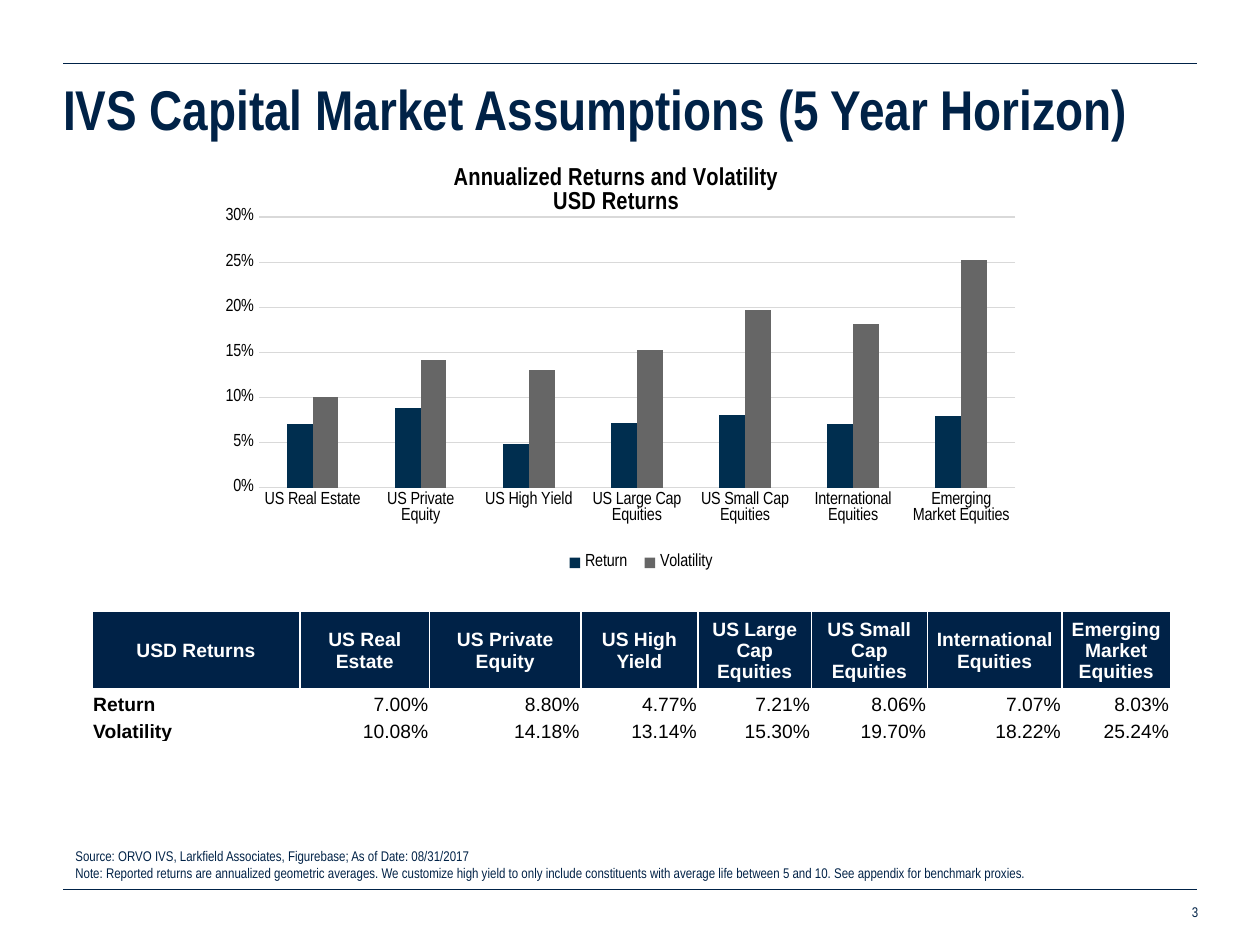
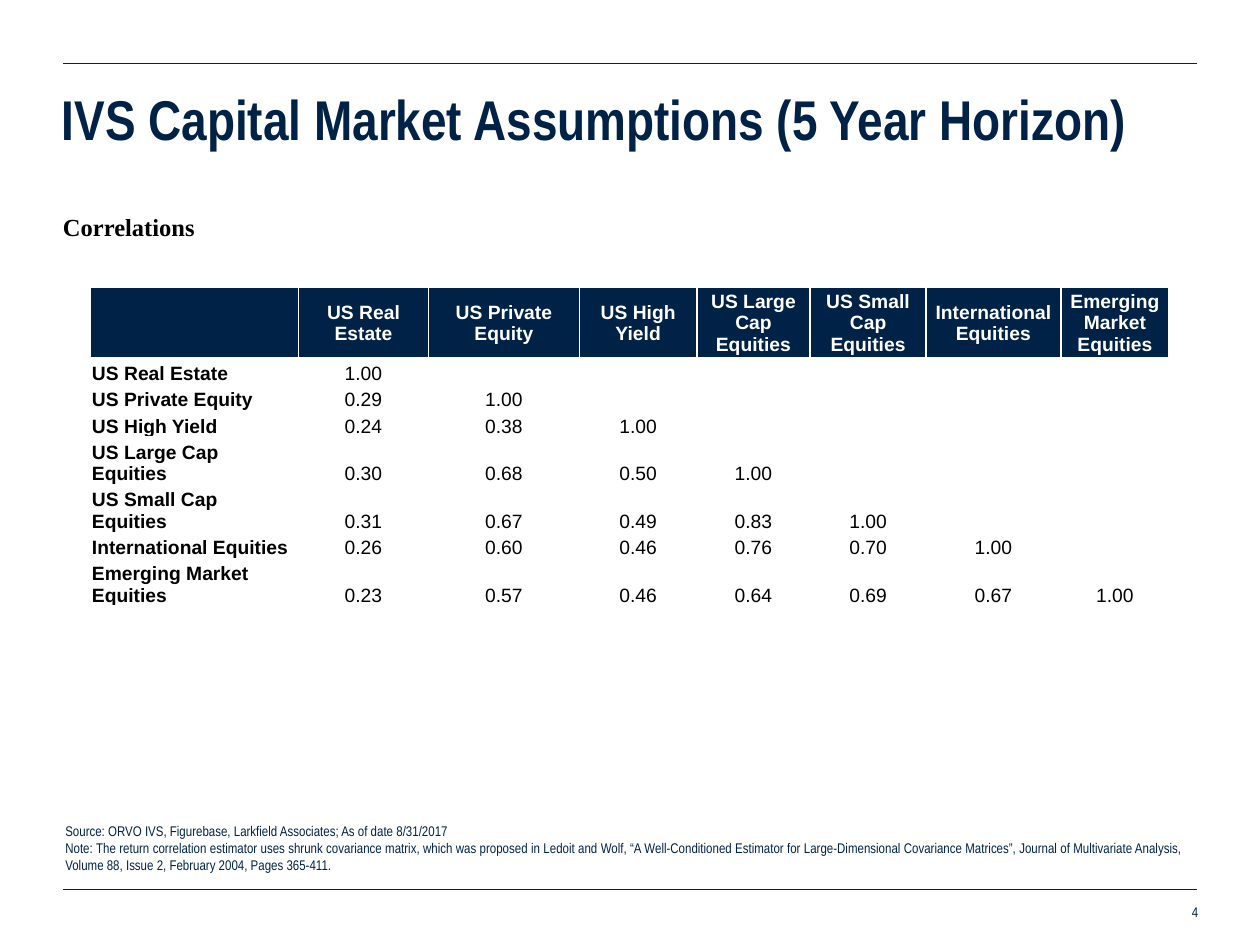
from dataclasses import dataclass
from lxml.etree import SubElement
from pptx import Presentation
from pptx.chart.data import CategoryChartData
from pptx.dml.color import RGBColor
from pptx.enum.chart import XL_CHART_TYPE, XL_LEGEND_POSITION, XL_TICK_MARK
from pptx.enum.shapes import MSO_CONNECTOR
from pptx.enum.text import MSO_ANCHOR, MSO_AUTO_SIZE, PP_ALIGN
from pptx.oxml.ns import qn
from pptx.util import Emu, Pt


@dataclass(frozen=True)
class Theme:
    """Colours, fonts and type sizes of the deck."""
    navy: str = "002247"
    black: str = "000000"
    white: str = "FFFFFF"
    grid: str = "D9D9D9"
    bars: tuple = ("002E4F", "666666")
    narrow: str = "Arial Narrow"
    sans: str = "Arial"
    serif: str = "Times New Roman"
    title: int = 32
    head: int = 14
    cell: int = 11
    label: int = 10
    small: int = 8


@dataclass(frozen=True)
class Box:
    """A place on the slide in px."""
    left: int
    top: int
    width: int
    height: int

    def emu(self) -> tuple:
        """Give the four lengths in EMU."""
        return tuple(map(px, (self.left, self.top, self.width, self.height)))


@dataclass(frozen=True)
class Style:
    """The look of a run."""
    face: str
    size: int
    tint: str
    bold: bool = False


@dataclass(frozen=True)
class Grid:
    """A table with its place, row heights and number alignment."""
    box: Box
    head: int
    row: int
    corner: str
    rows: dict
    align: PP_ALIGN


@dataclass(frozen=True)
class Page:
    """What differs from slide to slide."""
    number: str
    title: Box
    notes: Box
    lines: tuple
    grid: Grid


LOOK = Theme()
SCALE = 9144
TITLE = "IVS Capital Market Assumptions (5 Year Horizon)"
ASSETS = ("US Real Estate", "US Private Equity", "US High Yield", "US Large Cap Equities",
          "US Small Cap Equities", "International Equities", "Emerging Market Equities")
COLS = (165, 103, 120, 93, 90, 92, 107, 86)
RETURNS = {
    "Return": (7.00, 8.80, 4.77, 7.21, 8.06, 7.07, 8.03),
    "Volatility": (10.08, 14.18, 13.14, 15.30, 19.70, 18.22, 25.24),
}
LINKS = (
    (1.00,),
    (0.29, 1.00),
    (0.24, 0.38, 1.00),
    (0.30, 0.68, 0.50, 1.00),
    (0.31, 0.67, 0.49, 0.83, 1.00),
    (0.26, 0.60, 0.46, 0.76, 0.70, 1.00),
    (0.23, 0.57, 0.46, 0.64, 0.69, 0.67, 1.00),
)
PAGES = (
    Page("3", Box(50, 44, 901, 83), Box(50, 668, 884, 55), (
        "Source: ORVO IVS, Larkfield Associates, Figurebase; As of Date: 08/31/2017",
        "Note: Reported returns are annualized geometric averages. We customize high yield to only "
        "include constituents with average life between 5 and 10. See appendix for benchmark proxies.",
    ), Grid(Box(73, 485, 856, 104), 62, 21, "USD Returns",
            {name: [f"{val:.2f}%" for val in vals] for name, vals in RETURNS.items()},
            PP_ALIGN.RIGHT)),
    Page("4", Box(49, 52, 901, 83), Box(42, 648, 908, 68), (
        "Source: ORVO IVS, Figurebase, Larkfield Associates; As of date 8/31/2017",
        "Note: The return correlation estimator uses shrunk covariance matrix, which was proposed in "
        "Ledoit and Wolf, “A Well-Conditioned Estimator for Large-Dimensional Covariance Matrices”, "
        "Journal of Multivariate Analysis, Volume 88, Issue 2, February 2004, Pages 365-411.",
    ), Grid(Box(72, 228, 856, 200), 53, 21, "",
            {name: [f"{val:.2f}" for val in vals] for name, vals in zip(ASSETS, LINKS)},
            PP_ALIGN.CENTER)),
)


def px(count: int) -> Emu:
    """Turn px into EMU."""
    return Emu(count * SCALE)


def ink(tint: str) -> RGBColor:
    """Turn a hex string into a colour."""
    return RGBColor.from_string(tint)


def dress(font, style: Style) -> None:
    """Set a font to a style."""
    font.name, font.size, font.bold = style.face, Pt(style.size), style.bold
    font.color.rgb = ink(style.tint)


def write(frame, lines: tuple, style: Style, align: PP_ALIGN) -> None:
    """Write one paragraph for each line."""
    for spot, line in enumerate(lines):
        para = frame.add_paragraph() if spot else frame.paragraphs[0]
        para.alignment = align
        run = para.add_run()
        run.text = line
        dress(run.font, style)


def inset(frame, left: int, right: int) -> None:
    """Set the margins of a text frame."""
    frame.word_wrap = True
    frame.margin_left, frame.margin_right = px(left), px(right)
    frame.margin_top = frame.margin_bottom = px(5)


def label(slide, box: Box, lines: tuple, style: Style, align: PP_ALIGN,
          left: int = 10, right: int = 10):
    """Add a text box and return its frame."""
    frame = slide.shapes.add_textbox(*box.emu()).text_frame
    inset(frame, left, right)
    write(frame, lines, style, align)
    return frame


def rule(slide, top: int) -> None:
    """Draw a thin line across the slide."""
    line = slide.shapes.add_connector(MSO_CONNECTOR.STRAIGHT, px(50), px(top), px(950), px(top))
    line.line.color.rgb = ink(LOOK.navy)
    line.line.width = Pt(0.5)
    SubElement(line.element.spPr, qn("a:effectLst"))


def edge(cell) -> None:
    """Give a cell white borders on all sides."""
    props = cell._tc.get_or_add_tcPr()
    for side in ("lnL", "lnR", "lnT", "lnB"):
        line = SubElement(props, qn(f"a:{side}"), w=str(Pt(1)))
        fill = SubElement(line, qn("a:solidFill"))
        SubElement(fill, qn("a:srgbClr"), val=LOOK.white)


def fill_cell(cell, text: str, head: bool, bold: bool, align: PP_ALIGN) -> None:
    """Format a cell and write its text."""
    cell.margin_left = cell.margin_right = cell.margin_top = px(1)
    cell.margin_bottom = 0
    cell.vertical_anchor = MSO_ANCHOR.MIDDLE if head else MSO_ANCHOR.BOTTOM
    edge(cell)
    if head:
        cell.fill.solid()
        cell.fill.fore_color.rgb = ink(LOOK.navy)
    else:
        cell.fill.background()
    if text:
        tint = LOOK.white if head else LOOK.black
        write(cell.text_frame, (text,), Style(LOOK.sans, LOOK.cell, tint, bold), align)
    else:
        para = cell.text_frame.paragraphs[0]
        SubElement(para._p, qn("a:endParaRPr"), sz=str(LOOK.cell * 100))


def draw_grid(slide, grid: Grid) -> None:
    """Draw a table with a dark head row and bold row names."""
    rows = [(grid.corner, *ASSETS)] + [(name, *vals) for name, vals in grid.rows.items()]
    table = slide.shapes.add_table(len(rows), len(COLS), *grid.box.emu()).table
    table.horz_banding = False
    for col, width in zip(table.columns, COLS):
        col.width = px(width)
    for y, texts in enumerate(rows):
        head = y == 0
        table.rows[y].height = px(grid.head if head else grid.row)
        for x in range(len(COLS)):
            text = texts[x] if x < len(texts) else ""
            align = PP_ALIGN.CENTER if head else grid.align if x else PP_ALIGN.LEFT
            fill_cell(table.cell(y, x), text, head, head or x == 0, align)


def place(part, spot: int, **marks) -> None:
    """Fix a chart part at shares of the chart, as its child number spot."""
    for old in part.findall(qn("c:layout")):
        part.remove(old)
    layout = SubElement(part, qn("c:layout"))
    part.insert(spot, layout)
    manual = SubElement(layout, qn("c:manualLayout"))
    for tag, val in marks.items():
        SubElement(manual, qn(f"c:{tag}"), val=str(val))


def draw_chart(slide, box: Box) -> None:
    """Draw the columns of return and volatility."""
    data = CategoryChartData(number_format="0%")
    data.categories = ASSETS
    for name, vals in RETURNS.items():
        data.add_series(name, [round(val / 100, 3) for val in vals])
    chart = slide.shapes.add_chart(XL_CHART_TYPE.COLUMN_CLUSTERED, *box.emu(), data).chart
    dress(chart.font, Style(LOOK.narrow, LOOK.label, LOOK.black))
    chart.has_title = True
    write(chart.chart_title.text_frame, ("Annualized Returns and Volatility", "USD Returns"),
          Style(LOOK.narrow, LOOK.head, LOOK.black, True), PP_ALIGN.CENTER)
    chart.has_legend = True
    chart.legend.position = XL_LEGEND_POSITION.BOTTOM
    chart.legend.include_in_layout = False
    plot = chart.plots[0]
    plot.gap_width, plot.overlap, plot.vary_by_categories = 219, 0, False
    for series, tint in zip(plot.series, LOOK.bars):
        series.format.fill.solid()
        series.format.fill.fore_color.rgb = ink(tint)
    base, side = chart.category_axis, chart.value_axis
    for axis in (base, side):
        axis.major_tick_mark = axis.minor_tick_mark = XL_TICK_MARK.NONE
    side.minimum_scale, side.maximum_scale, side.major_unit = 0, 0.3, 0.05
    side.tick_labels.number_format = "0%"
    side.tick_labels.number_format_is_linked = False
    side.format.line.fill.background()
    for line in (base.format.line, side.major_gridlines.format.line):
        line.color.rgb = ink(LOOK.grid)
        line.width = Pt(0.75)
    root = chart.element.find(qn("c:chart"))
    mode = {"xMode": "edge", "yMode": "edge"}
    place(root.find(qn("c:plotArea")), 0, layoutTarget="inner", **mode,
          x=0.07, y=0.13, w=0.91, h=0.63)
    place(root.find(qn("c:title")), 1, **mode, x=0.3, y=0)
    place(root.find(qn("c:legend")), 1, **mode, x=0.43, y=0.9, w=0.2, h=0.07)


def add_page(deck, page: Page):
    """Add a slide with its rules, title, notes, number and table."""
    slide = deck.slides.add_slide(deck.slide_layouts[5])
    for top in (50, 706):
        rule(slide, top)
    title = slide.shapes.title
    title.left, title.top, title.width, title.height = page.title.emu()
    frame = title.text_frame
    inset(frame, 0, 10)
    frame.auto_size = MSO_AUTO_SIZE.NONE
    frame.vertical_anchor = MSO_ANCHOR.MIDDLE
    write(frame, (TITLE,), Style(LOOK.narrow, LOOK.title, LOOK.navy, True), PP_ALIGN.LEFT)
    small = Style(LOOK.narrow, LOOK.small, LOOK.navy)
    foot = label(slide, Box(715, 710, 236, 27), (page.number,), small, PP_ALIGN.RIGHT, right=0)
    foot.vertical_anchor = MSO_ANCHOR.MIDDLE
    notes = label(slide, page.notes, page.lines, small, PP_ALIGN.JUSTIFY)
    notes.auto_size = MSO_AUTO_SIZE.SHAPE_TO_FIT_TEXT
    draw_grid(slide, page.grid)
    return slide


def main() -> None:
    """Build and save the deck."""
    deck = Presentation()
    deck.slide_width, deck.slide_height = px(1000), px(750)
    first, second = [add_page(deck, page) for page in PAGES]
    draw_chart(first, Box(159, 128, 660, 341))
    frame = label(second, Box(50, 163, 900, 532), ("Correlations",),
                  Style(LOOK.serif, LOOK.head, LOOK.black, True), PP_ALIGN.LEFT, left=0)
    frame.paragraphs[0].space_before = Pt(3)
    deck.save("out.pptx")


if __name__ == "__main__":
    main()
